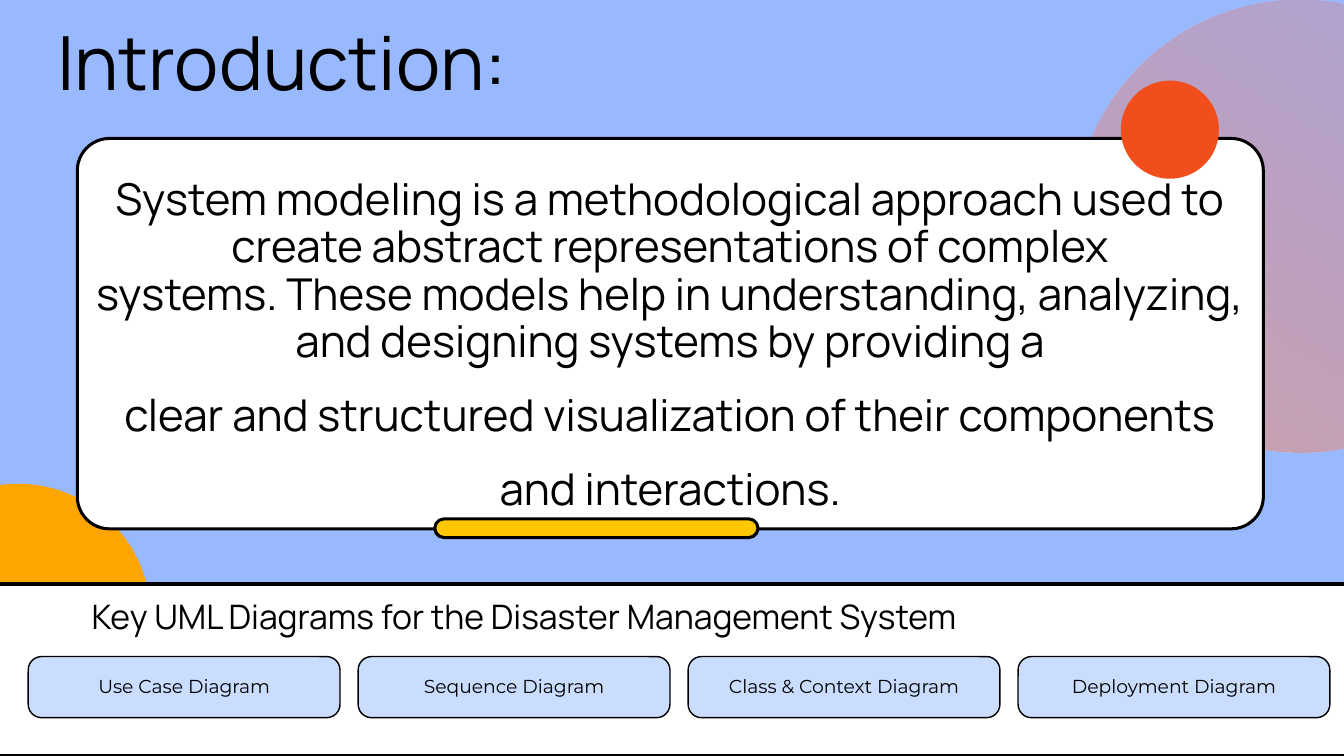
import math

from pptx import Presentation
from pptx.dml.color import RGBColor
from pptx.enum.shapes import MSO_SHAPE
from pptx.enum.text import MSO_ANCHOR, MSO_AUTO_SIZE, PP_ALIGN
from pptx.oxml.ns import qn
from pptx.util import Inches, Pt
from lxml import etree

RECTANGLE = MSO_SHAPE.RECTANGLE
ROUNDED = MSO_SHAPE.ROUNDED_RECTANGLE
OVAL = MSO_SHAPE.OVAL
LEFT = PP_ALIGN.LEFT
CENTER = PP_ALIGN.CENTER
TOP = MSO_ANCHOR.TOP
NO_AUTOFIT = MSO_AUTO_SIZE.NONE

BLACK = RGBColor(0x00, 0x00, 0x00)
WHITE = RGBColor(0xFF, 0xFF, 0xFF)
SKY = RGBColor(0x99, 0xB9, 0xFF)
PALE_BLUE = RGBColor(0xCA, 0xDD, 0xFF)
ORANGE = RGBColor(0xFF, 0xA5, 0x00)
YELLOW = RGBColor(0xFF, 0xC7, 0x00)
RED = RGBColor(0xF1, 0x4E, 0x1C)
CORAL = RGBColor(0xFC, 0x66, 0x45)
PEACH = RGBColor(0xFF, 0x8B, 0x59)

HEADING_FONT = "Manrope"
LABEL_FONT = "Montserrat"

INTRODUCTION = [
    ("System modeling is a methodological approach used to create abstract "
     "representations of complex", 50.8),
    ("systems. These models help in understanding, analyzing, and designing "
     "systems by providing a", 50.8),
    ("clear and structured visualization of their components and interactions.", 79.4),
]
DIAGRAMS = ["Use Case Diagram", "Sequence Diagram",
            "Class & Context Diagram", "Deployment Diagram"]


def place(item, box):
    item.left, item.top, item.width, item.height = (Inches(length) for length in box)


def write(item, lines, size, font=HEADING_FONT, align=CENTER):
    frame = item.text_frame
    frame.word_wrap = True
    frame.auto_size = NO_AUTOFIT
    frame.vertical_anchor = TOP
    frame.margin_left = frame.margin_right = frame.margin_top = frame.margin_bottom = 0
    for index, (text, spacing) in enumerate(lines):
        para = frame.add_paragraph() if index else frame.paragraphs[0]
        para.alignment = align
        para.line_spacing = Pt(spacing)
        para.space_before = Pt(0)
        span = para.add_run()
        span.text = text
        span.font.name = font
        span.font.size = Pt(size)
        span.font.bold = False
        span.font.color.rgb = BLACK


def add_text(page, box, lines, size, **text_format):
    item = page.shapes.add_textbox(*(Inches(length) for length in box))
    write(item, lines, size, **text_format)


def add_block(page, kind, box, fill, line_width=0, radius=0):
    block = page.shapes.add_shape(kind, *(Inches(length) for length in box))
    block.shadow.inherit = False
    block.fill.solid()
    block.fill.fore_color.rgb = fill
    if line_width:
        block.line.color.rgb = BLACK
        block.line.width = Pt(line_width)
    else:
        block.line.fill.background()
    if radius:
        block.adjustments[0] = radius / box[3]


def add_cut_circle(page, center, radius, left_edge, right_edge):
    points = []
    for degrees in range(0, 360, 2):
        angle = math.radians(degrees)
        across = center[0] + radius * math.cos(angle)
        down = center[1] + radius * math.sin(angle)
        across = min(max(across, left_edge), right_edge)
        points.append((Inches(across), Inches(down)))
    builder = page.shapes.build_freeform(*points[0])
    builder.add_line_segments(points[1:])
    circle = builder.convert_to_shape()
    circle.shadow.inherit = False
    circle.line.fill.background()
    return circle


def add_backdrop(page, box):
    left, top, width, height = box
    large = add_cut_circle(page, (left + width - 0.66, top + 3.37), 3.37, left, left + width)
    large.fill.gradient()
    large.fill.gradient_angle = 239
    stops = large.fill.gradient_stops
    for stop, position, color, opacity in zip(stops, (0, 1), (CORAL, PEACH), (25, 50)):
        stop.position = position
        stop.color.rgb = color
    for color_node, opacity in zip(large.element.iter(qn("a:srgbClr")), (25, 50)):
        etree.SubElement(color_node, qn("a:alpha")).set("val", str(opacity * 1000))
    small = add_cut_circle(page, (left + 0.27, top + 9.17), 1.97, left - 0.2, left + width)
    small.fill.solid()
    small.fill.fore_color.rgb = ORANGE


def add_title(page, box):
    title = page.shapes.title
    place(title, box)
    write(title, [("Introduction:", 80.8)], 80, align=LEFT)


def add_introduction(page, box):
    left, top, width, height = box
    add_block(page, ROUNDED, box, WHITE, line_width=3.25, radius=0.48)
    add_block(page, ROUNDED, (left + 5.32, top + height - 0.15, 4.81, 0.28), YELLOW,
              line_width=3.25, radius=0.14)
    add_text(page, (left + 0.27, top + 0.57, width - 0.54, 4.85), INTRODUCTION, 47)
    add_block(page, OVAL, (left + width - 2.12, top - 0.86, 1.46, 1.46), RED)


def add_diagram_band(page, box):
    left, top, width, height = box
    add_block(page, RECTANGLE, box, WHITE, line_width=4.5)
    add_text(page, (left + 0.37, top + 0.27, 15, 0.56),
             [("Key UML Diagrams for the Disaster Management System", 36.5)], 36.1)
    card_width, gap = 4.64, 0.27
    for index, name in enumerate(DIAGRAMS):
        card_left = left + 0.49 + index * (card_width + gap)
        card_top = top + 1.08
        add_block(page, ROUNDED, (card_left, card_top, card_width, 0.91), PALE_BLUE,
                  line_width=1.5, radius=0.2)
        add_text(page, (card_left + 0.2, card_top + 0.31, card_width - 0.4, 0.31),
                 [(name, 21.3)], 20.1, font=LABEL_FONT)


def main():
    deck = Presentation()
    deck.slide_width = Inches(20)
    deck.slide_height = Inches(11.25)
    page = deck.slides.add_slide(deck.slide_layouts[5])
    page.background.fill.solid()
    page.background.fill.fore_color.rgb = SKY
    add_backdrop(page, (0, 0, 20, 11.25))
    add_title(page, (0.85, 0.44, 7.84, 1.25))
    add_introduction(page, (1.15, 2.06, 17.65, 5.81))
    add_diagram_band(page, (-0.07, 8.69, 20.6, 2.56))
    deck.save("out.pptx")


if __name__ == "__main__":
    main()
